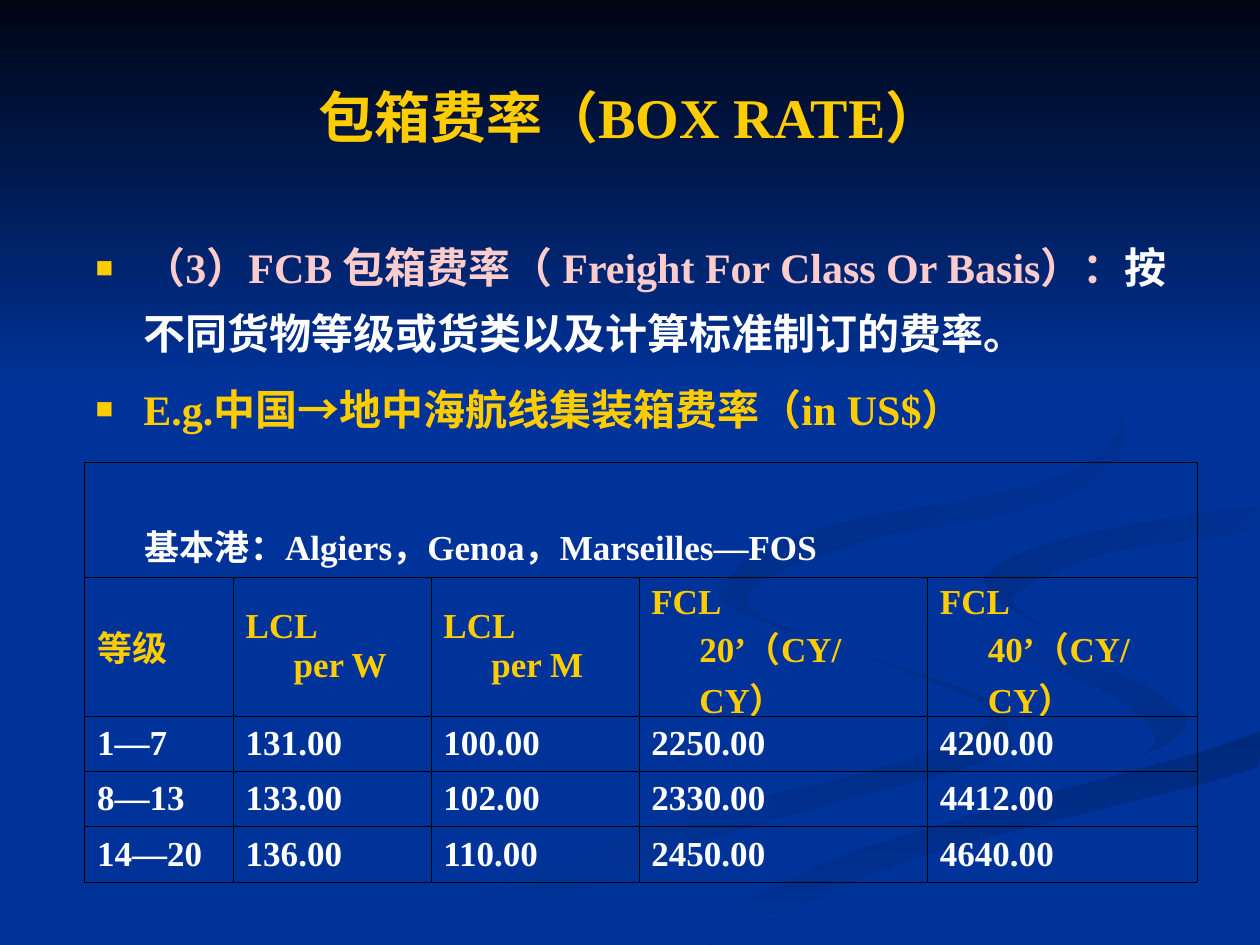
import pptx
import pptx.dml.color
import pptx.enum.shapes
import pptx.enum.text
import pptx.util
from lxml import etree
from pptx.oxml.ns import qn
from pptx.util import Inches

NAVY, GOLD, PINK, WHITE, BLACK = "003399", "FFCC00", "FFCCCC", "FFFFFF", "000000"
MIDDLE = pptx.enum.text.MSO_ANCHOR.MIDDLE
BOTTOM = pptx.enum.text.MSO_ANCHOR.BOTTOM
CURVE_STEPS = 5

# Ribbon knots in hundredths of an inch, with fill colours and gradient angle
RIBBONS = [
    ([(781, 553), (682, 519), (594, 485), (575, 459), (581, 483), (697, 525), (786, 566),
      (714, 605), (499, 661), (300, 749), (361, 749), (564, 665), (780, 605), (800, 581)],
     ("002E8A", NAVY), 180),
    ([(943, 570), (888, 535), (758, 498), (724, 464), (746, 500), (868, 544), (917, 585),
      (894, 605), (932, 589)], ("002E8A", NAVY), 225),
    ([(503, 749), (571, 749), (722, 682), (998, 609), (998, 581), (831, 629), (630, 693)],
     ("00297C", NAVY), 90),
    ([(725, 464), (793, 509), (905, 540), (943, 570), (892, 605), (663, 668), (477, 749),
      (519, 747), (696, 669), (999, 581), (999, 538), (848, 503), (781, 463), (850, 427),
      (999, 402), (999, 387), (788, 422)], (NAVY,), 0),
    ([(781, 460), (826, 496), (805, 472), (878, 439), (998, 420), (998, 402), (849, 427)],
     (NAVY, "002C85"), 225),
    ([(683, 430), (841, 396), (894, 344), (843, 275), (762, 233), (846, 279), (889, 335),
      (830, 382), (649, 420), (577, 462), (622, 500), (593, 470)], (NAVY, "002B81"), 225),
]

COLUMN_WIDTHS = [1.18, 1.57, 1.65, 2.29, 2.14]
ROW_HEIGHTS = [0.91, 1.1, 0.44, 0.44, 0.44]
PORTS = "基本港：Algiers，Genoa，Marseilles—FOS"
RATES = [
    ["等级", "LCL\nper W", "LCL\nper M", "FCL\n20’（CY/CY）", "FCL\n40’（CY/CY）"],
    ["1—7", "131.00", "100.00", "2250.00", "4200.00"],
    ["8—13", "133.00", "102.00", "2330.00", "4412.00"],
    ["14—20", "136.00", "110.00", "2450.00", "4640.00"],
]


def color(value):
    return pptx.dml.color.RGBColor.from_string(value)


def add_element(parent, tag, **attributes):
    return etree.SubElement(parent, qn(tag), attributes)


def smooth_outline(knots):
    """Closed Catmull-Rom curve through the knots, kept within the slide."""
    points = []
    for index in range(len(knots)):
        corners = [knots[(index + offset) % len(knots)] for offset in (-1, 0, 1, 2)]
        for step in range(CURVE_STEPS):
            t = step / CURVE_STEPS
            x, y = [b + t / 2 * (c - a + t * (2 * a - 5 * b + 4 * c - d
                                              + t * (3 * b - a - 3 * c + d)))
                    for a, b, c, d in zip(*corners)]
            points.append((min(x, 1000), min(y, 750)))
    return points


class RateSlide:
    font = "Times New Roman"
    hanging = Inches(0.38)

    def __init__(self, presentation):
        self.slide = presentation.slides.add_slide(presentation.slide_layouts[6])
        fill = self.slide.background.fill
        fill.solid()
        fill.fore_color.rgb = color(NAVY)

    def paint(self, shape, colors, angle):
        shape.shadow.inherit = False
        shape.line.fill.background()
        if len(colors) == 1:
            shape.fill.solid()
            shape.fill.fore_color.rgb = color(colors[0])
            return
        shape.fill.gradient()
        shape.fill.gradient_angle = 360 - angle
        for stop, value in zip(shape.fill.gradient_stops, colors):
            stop.color.rgb = color(value)

    def ribbon(self, knots, colors, angle):
        points = smooth_outline(knots)
        builder = self.slide.shapes.build_freeform(*points[0], scale=Inches(0.01))
        builder.add_line_segments(points[1:], close=True)
        self.paint(builder.convert_to_shape(), colors, angle)

    def band(self, left, top, width, height, colors, angle):
        kind = pptx.enum.shapes.MSO_SHAPE.RECTANGLE
        box = [Inches(length) for length in (left, top, width, height)]
        self.paint(self.slide.shapes.add_shape(kind, *box), colors, angle)

    def text_box(self, left, top, width, height):
        box = [Inches(length) for length in (left, top, width, height)]
        frame = self.slide.shapes.add_textbox(*box).text_frame
        frame.word_wrap = True
        return frame

    def runs(self, paragraph, size, *parts):
        for text, value in parts:
            for index, line in enumerate(text.split("\n")):
                if index:
                    paragraph.add_line_break()
                run = paragraph.add_run()
                run.text = line
                run.font.name = self.font
                run.font.size = pptx.util.Pt(size)
                run.font.bold = True
                run.font.color.rgb = color(value)

    def indent(self, paragraph, first_line):
        properties = paragraph._p.get_or_add_pPr()
        properties.set("marL", str(self.hanging))
        properties.set("indent", str(first_line))
        return properties

    def title(self, text, *box):
        frame = self.text_box(*box)
        frame.vertical_anchor = MIDDLE
        frame.paragraphs[0].alignment = pptx.enum.text.PP_ALIGN.CENTER
        self.runs(frame.paragraphs[0], 32, (text, GOLD))

    def bullets(self, items, *box):
        frame = self.text_box(*box)
        for index, parts in enumerate(items):
            paragraph = frame.add_paragraph() if index else frame.paragraphs[0]
            properties = self.indent(paragraph, -self.hanging)
            add_element(add_element(properties, "a:buClr"), "a:srgbClr", val=GOLD)
            add_element(properties, "a:buSzPct", val="70000")
            add_element(properties, "a:buFont", typeface="Arial")
            add_element(properties, "a:buChar", char="■")
            paragraph.line_spacing = 1.3
            paragraph.space_before = pptx.util.Pt(6 if index else 0)
            self.runs(paragraph, 24, *parts)

    def cell(self, cell, text, value, anchor=MIDDLE, first_line=-hanging):
        properties = cell._tc.get_or_add_tcPr()
        for side in ("a:lnL", "a:lnR", "a:lnT", "a:lnB"):
            line = add_element(properties, side, w=str(pptx.util.Pt(0.34)))
            add_element(add_element(line, "a:solidFill"), "a:srgbClr", val=BLACK)
        cell.fill.background()
        cell.vertical_anchor = anchor
        paragraph = cell.text_frame.paragraphs[0]
        self.indent(paragraph, first_line)
        self.runs(paragraph, 20, (text, value))

    def rate_table(self, left, top):
        table = self.slide.shapes.add_table(
            len(ROW_HEIGHTS), len(COLUMN_WIDTHS), Inches(left), Inches(top),
            Inches(sum(COLUMN_WIDTHS)), Inches(sum(ROW_HEIGHTS))).table
        table.first_row = table.horz_banding = False
        for column, width in zip(table.columns, COLUMN_WIDTHS):
            column.width = Inches(width)
        for row, height in zip(table.rows, ROW_HEIGHTS):
            row.height = Inches(height)
        table.cell(0, 0).merge(table.cell(0, len(COLUMN_WIDTHS) - 1))
        self.cell(table.cell(0, 0), PORTS, WHITE, BOTTOM, 0)
        for row, values in enumerate(RATES, start=1):
            for column, text in enumerate(values):
                self.cell(table.cell(row, column), text, GOLD if row == 1 else WHITE)


def main():
    presentation = pptx.Presentation()
    presentation.slide_width, presentation.slide_height = Inches(10), Inches(7.5)
    slide = RateSlide(presentation)

    # Background ribbons and the dark band at the top
    for knots, colors, angle in RIBBONS:
        slide.ribbon(knots, colors, angle)
    slide.band(0, 0, 10, 3.08, ("000514", NAVY), 90)

    # Title and bullets
    slide.title("包箱费率（BOX RATE）", 0.5, 0.3, 9, 1.25)
    slide.bullets([
        [("（3）FCB 包箱费率（ Freight For Class Or Basis）：", PINK),
         ("按不同货物等级或货类以及计算标准制订的费率。", WHITE)],
        [("E.g.中国→地中海航线集装箱费率（in US$）", GOLD)],
    ], 0.66, 1.75, 8.91, 2.31)

    # Freight rates
    slide.rate_table(0.67, 3.67)
    presentation.save("out.pptx")


if __name__ == "__main__":
    main()
